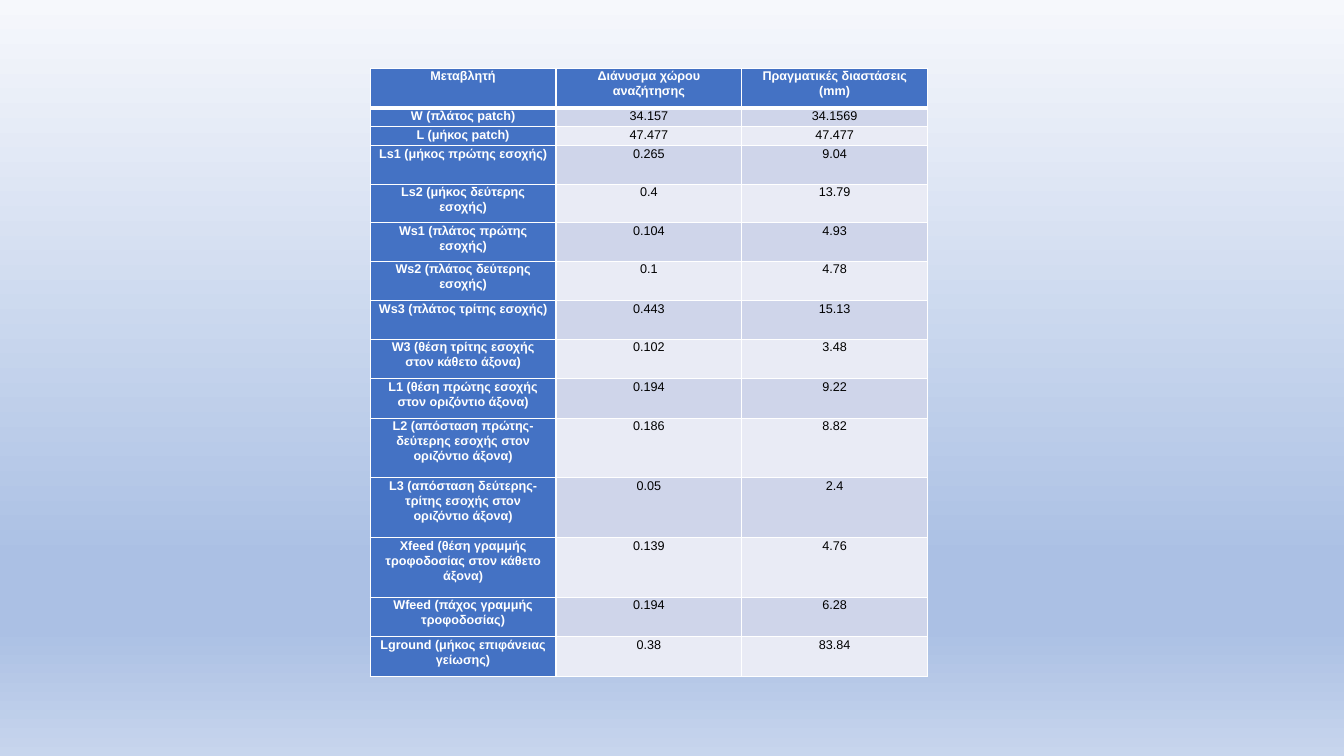
from lxml import etree
from pptx import Presentation
from pptx.dml.color import RGBColor
from pptx.enum.text import PP_ALIGN
from pptx.oxml.ns import qn
from pptx.util import Pt

CENTER = PP_ALIGN.CENTER
WHITE = RGBColor(0xFF, 0xFF, 0xFF)
BLACK = RGBColor(0x00, 0x00, 0x00)
BLUE = RGBColor(0x44, 0x72, 0xC4)
DARK_BAND = RGBColor(0xCF, 0xD5, 0xEA)
LIGHT_BAND = RGBColor(0xE9, 0xEB, 0xF5)
SKY_TOP = RGBColor(0xF6, 0xF8, 0xFC)
SKY_DEEP = RGBColor(0xAB, 0xC0, 0xE4)
SKY_BOTTOM = RGBColor(0xC7, 0xD5, 0xED)
SKY_STOPS = [(0, SKY_TOP), (74, SKY_DEEP), (83, SKY_DEEP), (100, SKY_BOTTOM)]

COLUMN_WIDTH = 132.72
ONE_LINE, TWO_LINES, TWO_LINES_TALL, THREE_LINES = 13.6, 27.5, 28.2, 42.7

DIMENSIONS = [
    (TWO_LINES_TALL, "Μεταβλητή", "Διάνυσμα χώρου αναζήτησης", "Πραγματικές διαστάσεις (mm)"),
    (ONE_LINE, "W (πλάτος patch)", "34.157", "34.1569"),
    (ONE_LINE, "L (μήκος patch)", "47.477", "47.477"),
    (TWO_LINES, "Ls1 (μήκος πρώτης εσοχής)", "0.265", "9.04"),
    (TWO_LINES, "Ls2 (μήκος δεύτερης εσοχής)", "0.4", "13.79"),
    (TWO_LINES, "Ws1 (πλάτος πρώτης εσοχής)", "0.104", "4.93"),
    (TWO_LINES_TALL, "Ws2 (πλάτος δεύτερης εσοχής)", "0.1", "4.78"),
    (TWO_LINES, "Ws3 (πλάτος τρίτης εσοχής)", "0.443", "15.13"),
    (TWO_LINES_TALL, "W3 (θέση τρίτης εσοχής στον κάθετο άξονα)", "0.102", "3.48"),
    (TWO_LINES_TALL, "L1 (θέση πρώτης εσοχής στον οριζόντιο άξονα)", "0.194", "9.22"),
    (THREE_LINES, "L2 (απόσταση πρώτης-δεύτερης εσοχής στον οριζόντιο άξονα)", "0.186", "8.82"),
    (THREE_LINES, "L3 (απόσταση δεύτερης-τρίτης εσοχής στον οριζόντιο άξονα)", "0.05", "2.4"),
    (THREE_LINES, "Xfeed (θέση γραμμής τροφοδοσίας στον κάθετο άξονα)", "0.139", "4.76"),
    (TWO_LINES_TALL, "Wfeed (πάχος γραμμής τροφοδοσίας)", "0.194", "6.28"),
    (TWO_LINES_TALL, "Lground (μήκος επιφάνειας γείωσης)", "0.38", "83.84"),
]


def add_color(parent, color):
    etree.SubElement(parent, qn("a:srgbClr"), val=str(color))


def paint_background(slide):
    fill = slide.background.fill
    fill.gradient()
    fill.gradient_angle = 270
    stops = next(slide.element.iter(qn("a:gsLst")))
    for stop in list(stops):
        stops.remove(stop)
    for percent, color in SKY_STOPS:
        add_color(etree.SubElement(stops, qn("a:gs"), pos=str(percent * 1000)), color)


def add_borders(cell, top, bottom):
    properties = cell._tc.get_or_add_tcPr()
    for side, width in (("L", 1), ("R", 1), ("T", top), ("B", bottom)):
        line = etree.SubElement(properties, qn("a:ln" + side), w=str(Pt(width)))
        add_color(etree.SubElement(line, qn("a:solidFill")), WHITE)


def format_cell(cell, text, background, is_heading):
    cell.fill.solid()
    cell.fill.fore_color.rgb = background
    cell.margin_left = cell.margin_right = Pt(4.5)
    cell.margin_top = cell.margin_bottom = Pt(0)
    cell.text_frame.text = text
    paragraph = cell.text_frame.paragraphs[0]
    paragraph.alignment = CENTER
    paragraph.line_spacing = 1.07
    font = paragraph.runs[0].font
    font.name = "Arial"
    font.size = Pt(9)
    font.bold = is_heading
    font.color.rgb = WHITE if is_heading else BLACK


def add_dimension_table(slide):
    total_height = sum(row[0] for row in DIMENSIONS)
    table = slide.shapes.add_table(
        len(DIMENSIONS), 3, Pt(264.4), Pt(48.8), Pt(3 * COLUMN_WIDTH), Pt(total_height)
    ).table
    for column in table.columns:
        column.width = Pt(COLUMN_WIDTH)
    for row_index, (height, *texts) in enumerate(DIMENSIONS):
        table.rows[row_index].height = Pt(height)
        band = DARK_BAND if row_index % 2 else LIGHT_BAND
        for column_index, text in enumerate(texts):
            cell = table.cell(row_index, column_index)
            is_heading = row_index == 0 or column_index == 0
            add_borders(cell, 3 if row_index == 1 else 1, 3 if row_index == 0 else 1)
            format_cell(cell, text, BLUE if is_heading else band, is_heading)


def main():
    presentation = Presentation()
    presentation.slide_width = Pt(960)
    presentation.slide_height = Pt(540)
    slide = presentation.slides.add_slide(presentation.slide_layouts[6])
    paint_background(slide)
    add_dimension_table(slide)
    presentation.save("out.pptx")


if __name__ == "__main__":
    main()
